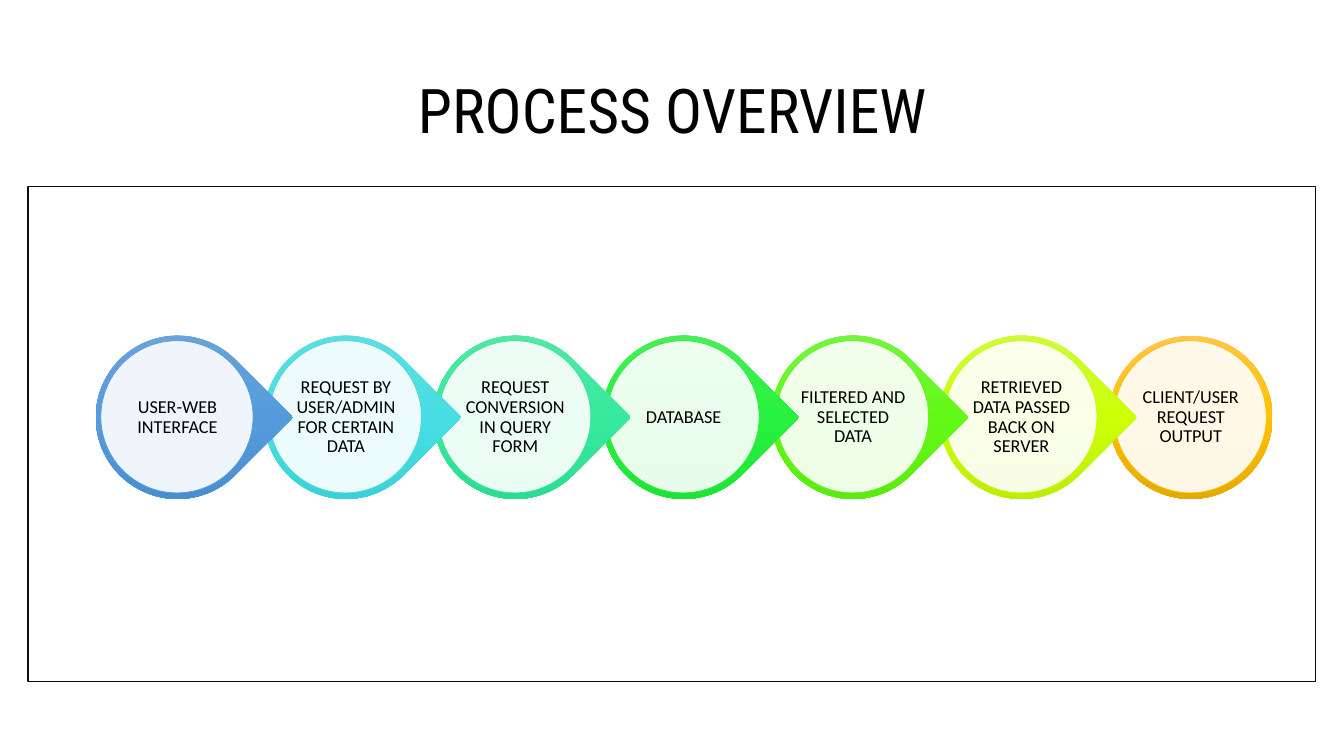
from lxml.etree import SubElement
from pptx import Presentation
from pptx.dml.color import RGBColor
from pptx.enum.shapes import MSO_SHAPE
from pptx.enum.text import MSO_ANCHOR, PP_ALIGN
from pptx.oxml.ns import qn
from pptx.util import Pt

PX = 9144
BLACK = RGBColor(0x00, 0x00, 0x00)
WHITE = RGBColor(0xFF, 0xFF, 0xFF)
FRAME = RGBColor(0x0D, 0x0D, 0x0D)

STEPS = [
    ("USER-WEB INTERFACE", "5B9BD5", ("71A6DB", "559BDB", "448ACA")),
    ("REQUEST BY USER/ADMIN FOR CERTAIN DATA", "4DD8DB", ("67DDE0", "46DEE2", "36CDD1")),
    ("REQUEST CONVERSION IN QUERY FORM", "3FE19B", ("5EE6A6", "37E99C", "27D88C")),
    ("DATABASE", "30E845", ("56EC62", "27F13E", "18E02F")),
    ("FILTERED AND SELECTED DATA", "67EF21", ("7AF350", "63F916", "56E50C")),
    ("RETRIEVED DATA PASSED BACK ON SERVER", "C7F711", ("CEFA4C", "CCFF08", "B7E505")),
    ("CLIENT/USER REQUEST OUTPUT", "FFC000", ("FFC64B", "FFC000", "E3AB00")),
]


def box_px(*lengths):
    """Turn pixel lengths into EMU."""
    return [n * PX for n in lengths]


def write(tf, text, size, font):
    """Set one centred black paragraph in a text frame."""
    tf.text = text
    tf.word_wrap = True
    tf.vertical_anchor = MSO_ANCHOR.MIDDLE
    p = tf.paragraphs[0]
    p.alignment = PP_ALIGN.CENTER
    p.line_spacing = 0.9
    r = p.runs[0]
    r.font.size = Pt(size)
    r.font.name = font
    r.font.color.rgb = BLACK


def add_shape(s, kind, x, y, w, h):
    """Add a preset shape without shadow."""
    sp = s.shapes.add_shape(kind, *box_px(x, y, w, h))
    sp.shadow.inherit = False
    return sp


def fill_gradient(sp, colors):
    """Fill a shape from top to bottom, whatever its rotation."""
    sp.fill.gradient()
    grad = sp.fill._xPr.find(qn("a:gradFill"))
    grad.set("rotWithShape", "0")
    stops = grad.find(qn("a:gsLst"))
    for stop in list(stops):
        stops.remove(stop)
    for i, color in enumerate(colors):
        stop = SubElement(stops, qn("a:gs"), pos=str(i * 50000))
        SubElement(stop, qn("a:srgbClr"), val=color)
    sp.fill.gradient_angle = 270


def add_title(s, text, x, y, w, h):
    """Place and format the slide title."""
    sp = s.shapes.title
    sp.left, sp.top, sp.width, sp.height = box_px(x, y, w, h)
    write(sp.text_frame, text, 44, "Roboto Condensed")


def add_step(s, step, x, y, size, last):
    """Draw one step: coloured drop, pale disc and label."""
    text, line, colors = step
    drop = add_shape(s, MSO_SHAPE.OVAL if last else MSO_SHAPE.TEAR, x, y, size, size)
    if not last:
        drop.adjustments[0] = 1
        drop.rotation = 45
    fill_gradient(drop, colors)
    drop.line.fill.background()

    inner = size - 11
    disc = add_shape(s, MSO_SHAPE.OVAL, x + 5, y + 5, inner, inner)
    disc.fill.solid()
    disc.fill.fore_color.rgb = WHITE
    color = disc.fill._xPr.find(qn("a:solidFill")).find(qn("a:srgbClr"))
    SubElement(color, qn("a:alpha"), val="90000")
    disc.line.color.rgb = RGBColor.from_string(line)
    disc.line.width = Pt(0.5)

    label = size - 54
    tf = s.shapes.add_textbox(*box_px(x + 27, y + 27, label, label)).text_frame
    tf.margin_left = tf.margin_right = tf.margin_top = tf.margin_bottom = PX
    write(tf, text, 13, "Calibri")


def add_process(s, steps, x, y, w, size):
    """Spread the steps evenly, each drop overlapping the next one."""
    last = len(steps) - 1
    for i in range(last, -1, -1):
        add_step(s, steps[i], x + i * (w - size) // last, y, size, i == last)


def add_frame(s, x, y, w, h):
    """Outline the diagram area."""
    sp = add_shape(s, MSO_SHAPE.RECTANGLE, x, y, w, h)
    sp.fill.background()
    sp.line.color.rgb = FRAME
    sp.line.width = Pt(1)


def main():
    """Build and save the slide."""
    prs = Presentation()
    prs.slide_width, prs.slide_height = box_px(1333, 750)
    s = prs.slides.add_slide(prs.slide_layouts[5])
    add_title(s, "PROCESS OVERVIEW", 92, 40, 1150, 145)
    add_process(s, STEPS, 95, 333, 1167, 162)
    add_frame(s, 28, 185, 1277, 491)
    prs.save("out.pptx")


if __name__ == "__main__":
    main()
